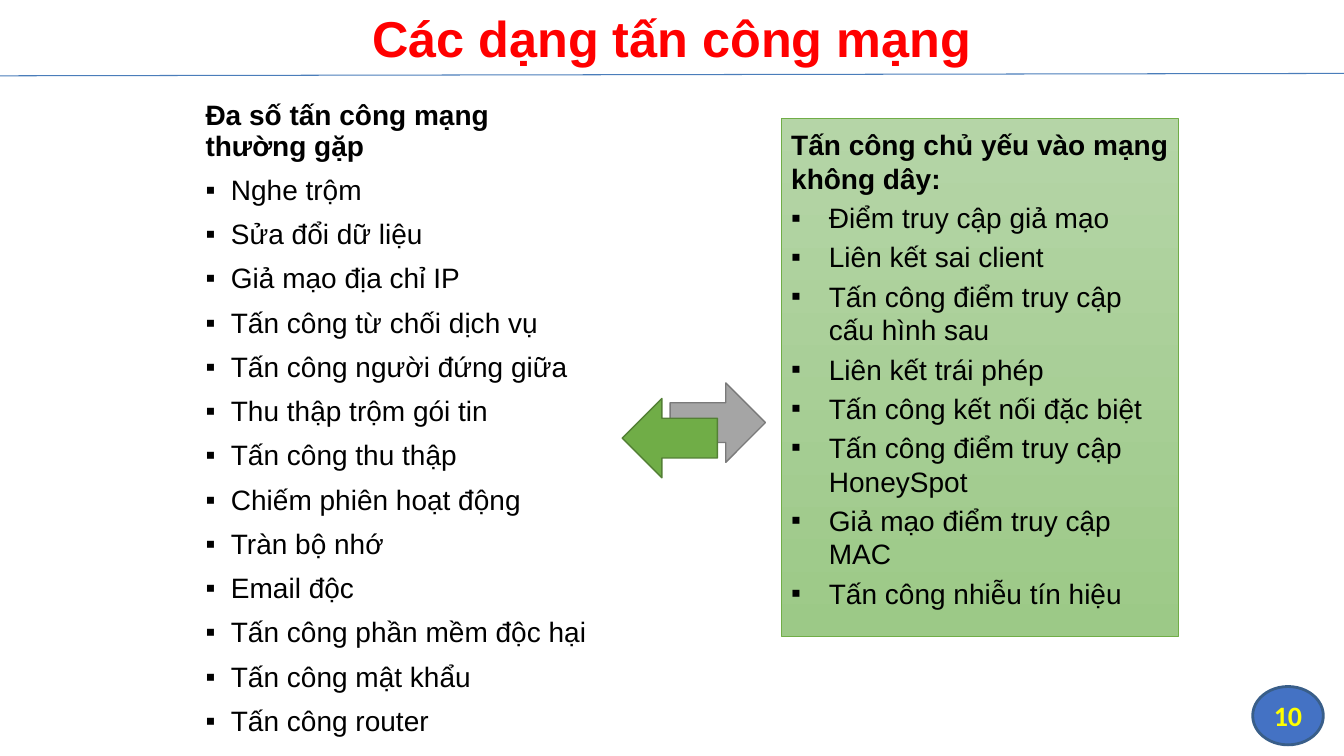
from pptx import Presentation
from pptx import util as u
from pptx.dml.color import RGBColor
from pptx.enum import shapes, text
from pptx.oxml import parse_xml
from pptx.oxml.ns import nsdecls

COMMON_ATTACKS = [
    "Nghe trộm", "Sửa đổi dữ liệu", "Giả mạo địa chỉ IP",
    "Tấn công từ chối dịch vụ", "Tấn công người đứng giữa",
    "Thu thập trộm gói tin", "Tấn công thu thập", "Chiếm phiên hoạt động",
    "Tràn bộ nhớ", "Email độc", "Tấn công phần mềm độc hại",
    "Tấn công mật khẩu", "Tấn công router",
]
WIRELESS_ATTACKS = [
    "Điểm truy cập giả mạo", "Liên kết sai client",
    "Tấn công điểm truy cập cấu hình sau", "Liên kết trái phép",
    "Tấn công kết nối đặc biệt", "Tấn công điểm truy cập HoneySpot",
    "Giả mạo điểm truy cập MAC", "Tấn công nhiễu tín hiệu",
]


def rgb(value):
    return RGBColor.from_string(value)


def write(p, content, font="Arial", size=20, color="000000", bold=False,
          align=None, before=0, spacing=None):
    p.alignment = align
    p.space_before = u.Pt(before)
    if spacing:
        p.line_spacing = spacing
    r = p.add_run()
    r.text = content
    r.font.name, r.font.size, r.font.bold = font, u.Pt(size), bold
    r.font.color.rgb = rgb(color)


class Slide:
    """Holds the style and the current slide; lengths are in centimetres."""

    def __init__(self, prs):
        self.s = prs.slides.add_slide(prs.slide_layouts[5])

    def place(self, sp, box):
        sp.left, sp.top, sp.width, sp.height = map(u.Cm, box)

    def title(self, content, box):
        sp = self.s.shapes.title
        self.place(sp, box)
        tf = sp.text_frame
        tf.word_wrap, tf.auto_size = True, text.MSO_AUTO_SIZE.NONE
        tf.vertical_anchor = text.MSO_ANCHOR.TOP
        write(tf.paragraphs[0], content, size=36, color="FF0000", bold=True,
              align=text.PP_ALIGN.CENTER)

    def rule(self, start, end, color, width):
        cn = self.s.shapes.add_connector(
            shapes.MSO_CONNECTOR.STRAIGHT, *map(u.Cm, start + end))
        cn.line.color.rgb, cn.line.width = rgb(color), u.Pt(width)
        cn._element.spPr.append(parse_xml(f"<a:effectLst {nsdecls('a')}/>"))

    def shape(self, kind, box, fill, line, width, rotation=0):
        sp = self.s.shapes.add_shape(kind, *map(u.Cm, box))
        sp.shadow.inherit = False
        sp.rotation = rotation
        if isinstance(fill, tuple):
            sp.fill.gradient()
            sp.fill.gradient_angle = 270
            for stop, color in zip(sp.fill.gradient_stops, fill):
                stop.color.rgb = rgb(color)
        else:
            sp.fill.solid()
            sp.fill.fore_color.rgb = rgb(fill)
        sp.line.color.rgb, sp.line.width = rgb(line), u.Pt(width)
        return sp

    def bullets(self, heading, items, box, indent, before, spacing=None):
        tf = self.s.shapes.add_textbox(*map(u.Cm, box)).text_frame
        tf.word_wrap = True
        write(tf.paragraphs[0], heading, bold=True, spacing=spacing)
        for item in items:
            p = tf.add_paragraph()
            pPr = p._p.get_or_add_pPr()
            pPr.set("marL", str(u.Cm(indent)))
            pPr.set("indent", str(-u.Cm(indent)))
            pPr.append(parse_xml(f'<a:buFont {nsdecls("a")} typeface="Arial"/>'))
            pPr.append(parse_xml(f'<a:buChar {nsdecls("a")} char="▪"/>'))
            write(p, item, before=before, spacing=spacing)


def main():
    prs = Presentation()
    prs.slide_width, prs.slide_height = u.Cm(33.87), u.Cm(19.05)
    slide = Slide(prs)
    kinds = shapes.MSO_SHAPE

    # Heading and rule
    slide.title("Các dạng tấn công mạng", (3.66, 0.05, 26.54, 1.8))
    slide.rule((0, 1.91), (33.87, 1.85), "4A7DBA", 0.75)

    # Slide number badge
    badge = slide.shape(kinds.OVAL, (31.57, 17.3, 1.78, 1.47),
                        "4472C4", "395E89", 2)
    tf = badge.text_frame
    tf.vertical_anchor = text.MSO_ANCHOR.MIDDLE
    write(tf.paragraphs[0], "10", font="Calibri", color="FFFF00", bold=True,
          align=text.PP_ALIGN.CENTER)

    # Common attacks
    slide.bullets("Đa số tấn công mạng thường gặp", COMMON_ATTACKS,
                  (4.93, 2.44, 10.34, 15.19), 0.64, 10, 0.9)

    # Wireless attacks panel
    slide.shape(kinds.RECTANGLE, (19.69, 2.98, 10.01, 13.06),
                ("B5D5A7", "9CC987"), "70AD47", 0.5)
    slide.bullets("Tấn công chủ yếu vào mạng không dây:", WIRELESS_ATTACKS,
                  (19.69, 3.1, 10.01, 12.95), 0.95, 4)

    # Opposing arrows
    slide.shape(kinds.RIGHT_ARROW, (16.89, 9.65, 2.4, 2), "A5A5A5", "7A7A7A", 1)
    slide.shape(kinds.RIGHT_ARROW, (15.68, 10.04, 2.4, 2), "70AD47", "538035", 1,
                rotation=180)

    prs.save("out.pptx")


if __name__ == "__main__":
    main()
